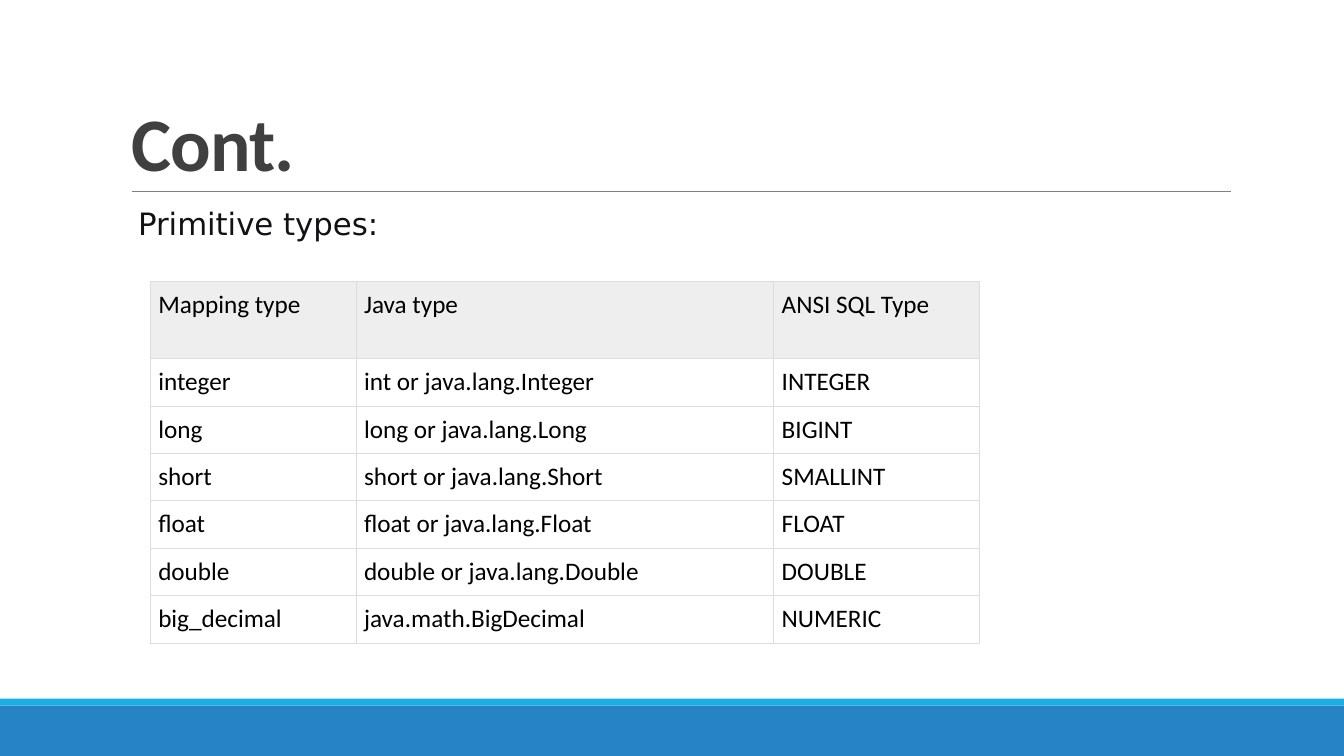
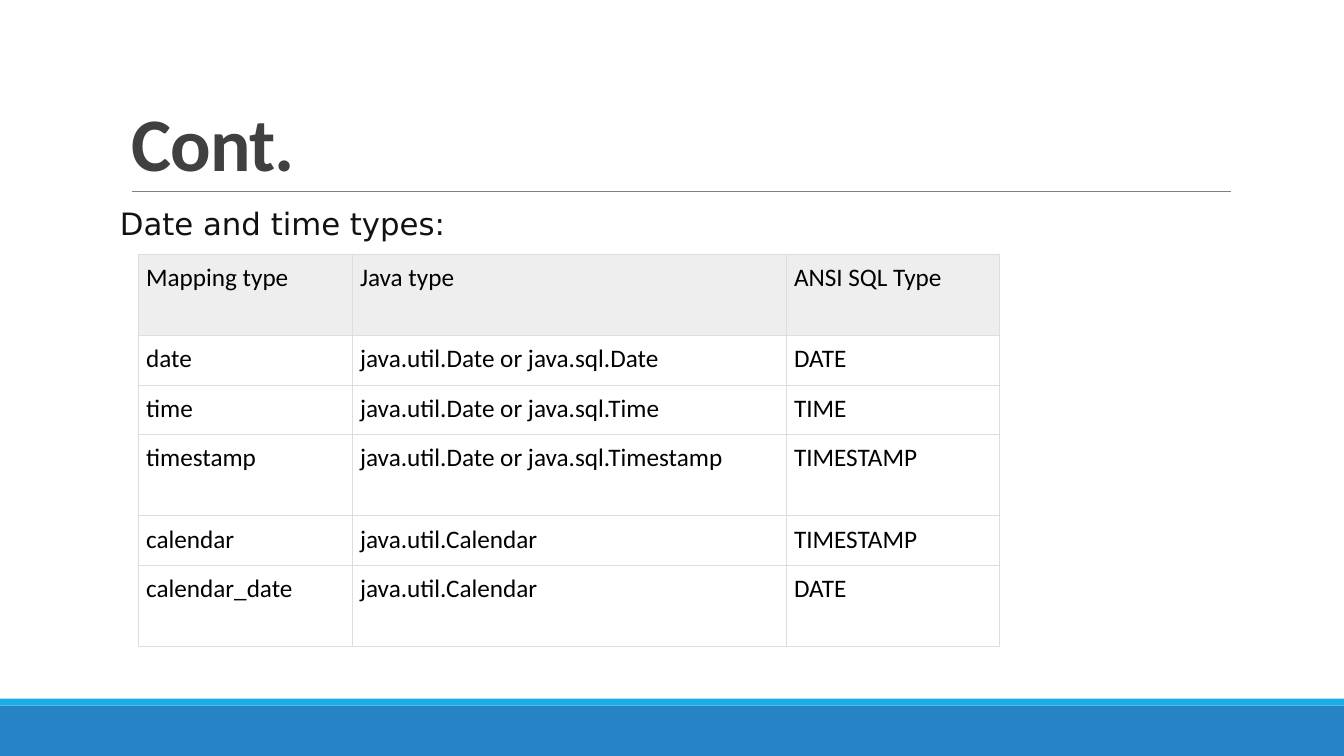
"""Builds two slides with tables of mapping types."""
from pptx import Presentation
from pptx.dml.color import RGBColor
from pptx.enum.shapes import MSO_CONNECTOR as Link, MSO_SHAPE as Shape
from pptx.enum.text import MSO_ANCHOR as Anchor, MSO_AUTO_SIZE as Fit, PP_ALIGN as Align
from pptx.oxml import parse_xml
from pptx.oxml.ns import nsdecls
from pptx.util import Pt

INK, GRID, HEAD = "000000", "DDDDDD", "EEEEEE"
BANDS = [(504, 36, "2683C6"), (499, 5, "1CADE4")]
PAD = 5.76
HEADER = ("Mapping type", "Java type", "ANSI SQL Type")
PAGES = [
    dict(label="Primitive types:", spot=(98.64, 178.56), grid=(107.28, 200.88),
         cols=(147, 298.4, 147), tall=55.2, low=33.92, deep=(0,),
         rows=[("integer", "int or java.lang.Integer", "INTEGER"),
               ("long", "long or java.lang.Long", "BIGINT"),
               ("short", "short or java.lang.Short", "SMALLINT"),
               ("float", "float or java.lang.Float", "FLOAT"),
               ("double", "double or java.lang.Double", "DOUBLE"),
               ("big_decimal", "java.math.BigDecimal", "NUMERIC")]),
    dict(label="Date and time types:", spot=(85.68, 239.76), grid=(98.64, 181.44),
         cols=(152.8, 310, 152.8), tall=58.2, low=35.35, deep=(0, 3, 5),
         rows=[("date", "java.util.Date or java.sql.Date", "DATE"),
               ("time", "java.util.Date or java.sql.Time", "TIME"),
               ("timestamp", "java.util.Date or java.sql.Timestamp", "TIMESTAMP"),
               ("calendar", "java.util.Calendar", "TIMESTAMP"),
               ("calendar_date", "java.util.Calendar", "DATE")]),
]


def color(code):
    return RGBColor.from_string(code)


def style(frame, size, face, code, bold=False):
    para = frame.paragraphs[0]
    para.alignment = Align.LEFT
    font = para.runs[0].font
    font.size, font.name, font.bold = Pt(size), face, bold
    font.color.rgb = color(code)
    return para


deck = Presentation()
deck.slide_width, deck.slide_height = Pt(960), Pt(540)

for page in PAGES:
    slide = deck.slides.add_slide(deck.slide_layouts[5])
    shapes = slide.shapes

    for top, height, code in BANDS:
        band = shapes.add_shape(Shape.RECTANGLE, 0, Pt(top), Pt(960), Pt(height))
        band.shadow.inherit = False
        band.fill.solid()
        band.fill.fore_color.rgb = color(code)
        band.line.fill.background()

    rule = shapes.add_connector(Link.STRAIGHT, Pt(94.3), Pt(136.8), Pt(879), Pt(136.8))
    rule.line.color.rgb = color("808080")
    rule.line.width = Pt(0.5)
    rule._element.spPr.append(parse_xml(f"<a:effectLst {nsdecls('a')}/>"))

    title = shapes.title
    title.left, title.top, title.width, title.height = Pt(86.4), Pt(22.3), Pt(792), Pt(114.5)
    frame = title.text_frame
    frame.text = "Cont."
    frame.auto_size, frame.vertical_anchor = Fit.NONE, Anchor.BOTTOM
    para = style(frame, 54, "Calibri", "404040", True)
    para.line_spacing = 0.85
    para.runs[0]._r.get_or_add_rPr().set("spc", "-50")

    cols, rows = page["cols"], [HEADER] + page["rows"]
    sizes = [page["tall"] if r in page["deep"] else page["low"] for r in range(len(rows))]
    left, top = page["grid"]
    table = shapes.add_table(len(rows), len(cols), Pt(left), Pt(top),
                             Pt(sum(cols)), Pt(sum(sizes))).table
    table.first_row = table.horz_banding = False
    for col, width in zip(table.columns, cols):
        col.width = Pt(width)
    for r, words in enumerate(rows):
        table.rows[r].height = Pt(sizes[r])
        for c, word in enumerate(words):
            cell = table.cell(r, c)
            cell.text_frame.text = word
            style(cell.text_frame, 18, "Calibri", INK)
            cell.margin_left = cell.margin_right = Pt(PAD)
            cell.margin_top = cell.margin_bottom = Pt(PAD)
            props = cell._tc.get_or_add_tcPr()
            for side in ("lnL", "lnR", "lnT", "lnB"):
                props.append(parse_xml(
                    f'<a:{side} {nsdecls("a")} w="9525"><a:solidFill>'
                    f'<a:srgbClr val="{GRID}"/></a:solidFill></a:{side}>'))
            if r == 0:
                cell.fill.solid()
                cell.fill.fore_color.rgb = color(HEAD)
            else:
                cell.fill.background()

    left, width = page["spot"]
    label = shapes.add_textbox(Pt(left), Pt(142.56), Pt(width), Pt(58.32))
    frame = label.text_frame
    frame.text = page["label"]
    frame.word_wrap, frame.vertical_anchor = False, Anchor.TOP
    frame.margin_left, frame.margin_right = 0, Pt(2.16)
    frame.margin_top = frame.margin_bottom = Pt(3.6)
    style(frame, 22, "DejaVu Sans", "121214")

deck.save("out.pptx")
